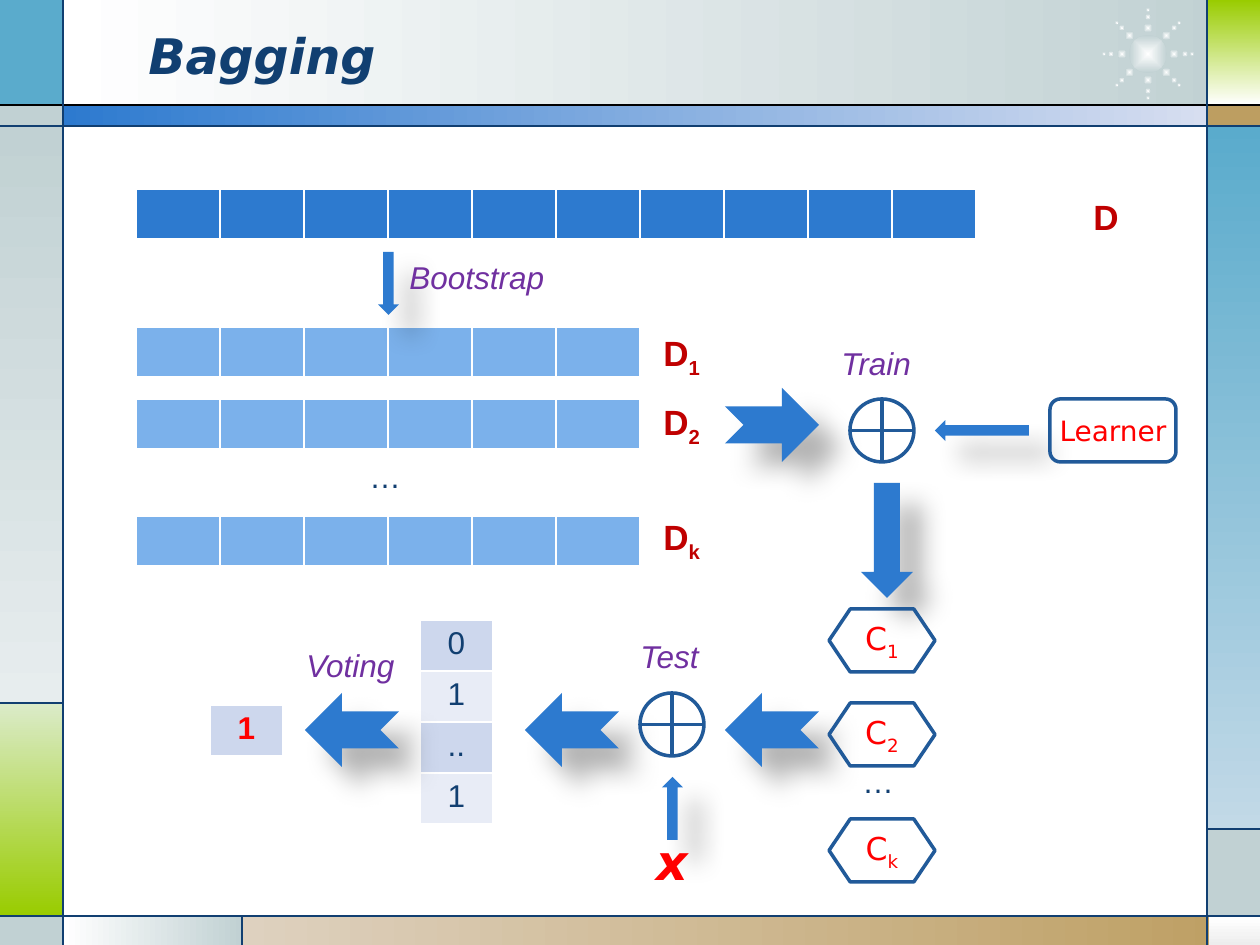
"""Build the Bagging slide: bootstrap samples, training, testing and voting."""
from math import cos, radians, sin

from lxml import etree
from pptx import Presentation
from pptx.dml.color import RGBColor
from pptx.enum.shapes import MSO_CONNECTOR, MSO_SHAPE
from pptx.enum.text import MSO_ANCHOR, PP_ALIGN
from pptx.oxml import parse_xml
from pptx.oxml.ns import qn
from pptx.util import Pt

PX = 914400 / 126
NS = 'xmlns:a="http://schemas.openxmlformats.org/drawingml/2006/main"'
RECT, OVAL, ROUNDED = MSO_SHAPE.RECTANGLE, MSO_SHAPE.OVAL, MSO_SHAPE.ROUNDED_RECTANGLE
DOWN, UP, LEFT = MSO_SHAPE.DOWN_ARROW, MSO_SHAPE.UP_ARROW, MSO_SHAPE.LEFT_ARROW
NOTCHED, OR = MSO_SHAPE.NOTCHED_RIGHT_ARROW, MSO_SHAPE.FLOWCHART_OR
PROCESS = MSO_SHAPE.FLOWCHART_ALTERNATE_PROCESS
HEXAGON = MSO_SHAPE.FLOWCHART_PREPARATION
CENTER, MIDDLE = PP_ALIGN.CENTER, MSO_ANCHOR.MIDDLE
STRAIGHT = MSO_CONNECTOR.STRAIGHT

WHITE, BLACK = RGBColor(255, 255, 255), RGBColor(0, 0, 0)
NAVY = RGBColor(0x11, 0x3F, 0x71)
OUTLINE = RGBColor(0x21, 0x5A, 0x99)
BLUE = RGBColor(0x2D, 0x7A, 0xCF)
LIGHT_BLUE = RGBColor(0x7B, 0xB1, 0xEB)
PALE_BLUE = RGBColor(0xD7, 0xDE, 0xF0)
TEAL = RGBColor(0x5A, 0xAB, 0xCC)
PALE_TEAL = RGBColor(0xC2, 0xD9, 0xE7)
GRAY = RGBColor(0xC1, 0xD1, 0xD3)
PALE_GRAY = RGBColor(0xE7, 0xED, 0xEE)
SILVER = RGBColor(0xED, 0xED, 0xED)
GREEN = RGBColor(0x99, 0xCC, 0x00)
PALE_GREEN = RGBColor(0xDB, 0xEB, 0xC9)
TAN = RGBColor(0xBD, 0x9E, 0x61)
PALE_TAN = RGBColor(0xDE, 0xD1, 0xBF)
BAND_1 = RGBColor(0xCD, 0xD7, 0xED)
BAND_2 = RGBColor(0xE8, 0xEC, 0xF6)
RED, DARK_RED = RGBColor(255, 0, 0), RGBColor(0xC0, 0, 0)
PURPLE = RGBColor(0x70, 0x30, 0xA0)

prs = Presentation()
prs.slide_width, prs.slide_height = round(1260 * PX), round(945 * PX)
s = prs.slides.add_slide(prs.slide_layouts[6])


def shape(kind, x, y, w, h, fill=None, end=None, angle=0, line=None):
    sp = s.shapes.add_shape(kind, *(round(v * PX) for v in (x, y, w, h)))
    sp.shadow.inherit = False
    if end:
        sp.fill.gradient()
        sp.fill.gradient_angle = angle
        for stop, color in zip(sp.fill.gradient_stops, (fill, end)):
            stop.color.rgb = color
    elif fill:
        sp.fill.solid()
        sp.fill.fore_color.rgb = fill
    else:
        sp.fill.background()
    if line:
        sp.line.color.rgb = line
        sp.line.width = Pt(2)
    else:
        sp.line.fill.background()
    return sp


def write(tf, text, sub, size, color, name="Arial", bold=False, italic=False, align=None):
    p = tf.paragraphs[0]
    p.alignment = align
    font = p.font
    font.size, font.name, font.bold, font.italic = Pt(size), name, bold, italic
    font.color.rgb = color
    p.add_run().text = text
    if sub:
        r = p.add_run()
        r.text = sub
        r.font._element.set("baseline", "-25000")


for panel in (
    (63, 0, 1168, 105, WHITE, GRAY),
    (0, 0, 63, 105, TEAL),
    (0, 105, 63, 21, GRAY),
    (0, 126, 63, 577, GRAY, PALE_GRAY, 270),
    (0, 703, 63, 213, PALE_GREEN, GREEN, 270),
    (0, 916, 63, 29, GRAY),
    (63, 916, 179, 29, WHITE, GRAY),
    (242, 916, 1018, 29, PALE_TAN, TAN),
    (1209, 917, 51, 28, WHITE, SILVER, 270),
    (1208, 829, 52, 88, GRAY),
    (1207, 126, 53, 703, TEAL, PALE_TEAL, 270),
    (1207, 105, 53, 21, TAN),
    (1208, 0, 52, 105, GREEN, WHITE, 270),
    (63, 105, 1145, 21, BLUE, PALE_BLUE),
):
    shape(RECT, *panel)

dots = [(1148, 54, 38)]
for ray in range(8):
    a = radians(45 * ray)
    dots += [(1148 + d * cos(a), 54 + d * sin(a), size) for d, size in ((26, 9), (37, 6), (44, 4))]
for x, y, size in dots:
    sp = shape(OVAL, x - size / 2, y - size / 2, size, size, WHITE, GRAY)
    lin = sp._element.spPr.find(qn("a:gradFill")).find(qn("a:lin"))
    lin.getparent().replace(lin, parse_xml(
        f'<a:path {NS} path="shape"><a:fillToRect l="50000" t="50000" r="50000" b="50000"/></a:path>'))

for x1, y1, x2, y2, color in (
    (0, 105, 1260, 105, BLACK), (0, 126, 1260, 126, NAVY), (0, 916, 1260, 916, NAVY),
    (63, 0, 63, 945, NAVY), (1207, 0, 1207, 945, NAVY), (0, 703, 63, 703, NAVY),
    (242, 916, 242, 945, NAVY), (1207, 829, 1260, 829, NAVY),
):
    cx = s.shapes.add_connector(STRAIGHT, *(round(v * PX) for v in (x1, y1, x2, y2)))
    cx.line.color.rgb = color
    cx.line.width = Pt(0.75)
    etree.SubElement(cx._element.spPr, qn("a:effectLst"))

for x, y, col_w, rows, fills, bottom, color, bold in (
    (136, 189, 84, [[""] * 10], [BLUE], 3, NAVY, False),
    (136, 327, 84, [[""] * 6], [LIGHT_BLUE], 3, NAVY, False),
    (136, 399, 84, [[""] * 6], [LIGHT_BLUE], 3, NAVY, False),
    (136, 516, 84, [[""] * 6], [LIGHT_BLUE], 3, NAVY, False),
    (420, 620, 73, [["0"], ["1"], [".."], ["1"]], [BAND_1, BAND_2], 1, NAVY, False),
    (210, 705, 73, [["1"]], [BAND_1], 1, RED, True),
):
    size = (col_w * len(rows[0]), 51 * len(rows))
    tbl = s.shapes.add_table(len(rows), len(rows[0]), *(round(v * PX) for v in (x, y, *size))).table
    tbl.first_row = tbl.horz_banding = False
    for i, row in enumerate(rows):
        for j, value in enumerate(row):
            cell = tbl.cell(i, j)
            for side, width in (("L", 1), ("R", 1), ("T", 1), ("B", bottom)):
                cell._tc.get_or_add_tcPr().append(parse_xml(
                    f'<a:ln{side} {NS} w="{width * 12700}"><a:solidFill>'
                    f'<a:srgbClr val="{WHITE}"/></a:solidFill></a:ln{side}>'))
            cell.fill.solid()
            cell.fill.fore_color.rgb = fills[i % len(fills)]
            if value:
                write(cell.text_frame, value, "", 18, color, bold=bold, align=CENTER)

for kind, x, y, w, h, flip in (
    (DOWN, 378, 252, 21, 63, False),
    (LEFT, 935, 420, 94, 21, False),
    (NOTCHED, 725, 388, 94, 74, False),
    (DOWN, 861, 483, 52, 115, False),
    (NOTCHED, 725, 693, 94, 74, True),
    (NOTCHED, 525, 693, 94, 74, True),
    (NOTCHED, 305, 693, 94, 74, True),
    (UP, 662, 777, 21, 63, False),
):
    sp = shape(kind, x, y, w, h, BLUE)
    spPr = sp._element.spPr
    if flip:
        spPr.find(qn("a:xfrm")).set("flipH", "1")
    spPr.find(qn("a:effectLst")).append(parse_xml(
        f'<a:outerShdw {NS} blurRad="190500" dist="228600" dir="2700000" algn="tl" '
        'rotWithShape="0"><a:srgbClr val="000000"><a:alpha val="30000"/></a:srgbClr></a:outerShdw>'))

for x, y in ((850, 399), (640, 693)):
    shape(OR, x, y, 64, 63, line=OUTLINE)

for kind, x, y, w, text, sub, size, line, strong in (
    (PROCESS, 1050, 399, 126, "Learner", "", 16, OUTLINE, False),
    (HEXAGON, 829, 609, 106, "C", "1", 18, OUTLINE, False),
    (HEXAGON, 829, 703, 106, "C", "2", 18, OUTLINE, False),
    (HEXAGON, 829, 819, 106, "C", "k", 18, OUTLINE, False),
    (ROUNDED, 630, 829, 84, "x", "", 28, None, True),
):
    tf = shape(kind, x, y, w, 63, line=line).text_frame
    tf.margin_left = tf.margin_right = 0
    tf.vertical_anchor = MIDDLE
    write(tf, text, sub, size, RED, "DejaVu Sans", strong, strong, CENTER)

for x, y, w, h, text, sub, *style in (
    (136, 16, 924, 78, "Bagging", "", 28, NAVY, "DejaVu Sans", True, True),
    (397, 252, 161, 50, "Bootstrap", "", 18, PURPLE, "Arial", False, True),
    (829, 338, 97, 50, "Train", "", 18, PURPLE, "Arial", False, True),
    (628, 631, 84, 50, "Test", "", 18, PURPLE, "Arial", False, True),
    (294, 640, 115, 50, "Voting", "", 18, PURPLE, "Arial", False, True),
    (357, 451, 57, 50, "…", "", 18, NAVY),
    (850, 756, 57, 50, "…", "", 18, NAVY),
    (1081, 189, 52, 55, "D", "", 20, DARK_RED, "Arial", True),
    (651, 328, 64, 55, "D", "1", 20, DARK_RED, "Arial", True),
    (651, 397, 64, 55, "D", "2", 20, DARK_RED, "Arial", True),
    (651, 512, 64, 55, "D", "k", 20, DARK_RED, "Arial", True),
):
    tf = s.shapes.add_textbox(*(round(v * PX) for v in (x, y, w, h))).text_frame
    tf.word_wrap = text == "Bagging"
    tf.vertical_anchor = MIDDLE
    write(tf, text, sub, *style)

prs.save("out.pptx")
